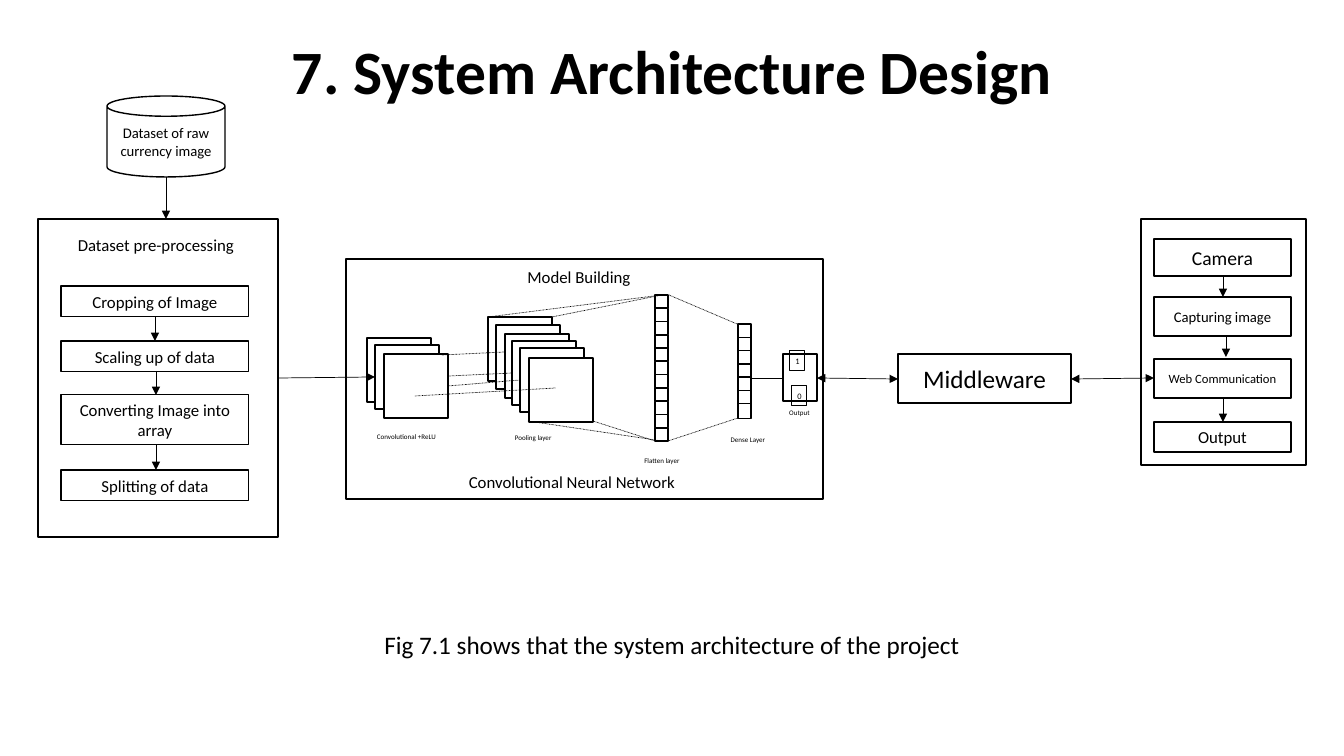
from lxml import etree
from pptx import Presentation
from pptx.dml.color import RGBColor
from pptx.enum.dml import MSO_LINE
from pptx.enum.shapes import MSO_CONNECTOR, MSO_SHAPE
from pptx.enum.text import MSO_ANCHOR, PP_ALIGN
from pptx.oxml.ns import qn
from pptx.util import Emu, Pt

BLACK = RGBColor(0, 0, 0)
WHITE = RGBColor(255, 255, 255)
RECT, CAN = MSO_SHAPE.RECTANGLE, MSO_SHAPE.CAN
LEFT, CENTER = PP_ALIGN.LEFT, PP_ALIGN.CENTER
MIDDLE, BOTTOM = MSO_ANCHOR.MIDDLE, MSO_ANCHOR.BOTTOM
STRAIGHT = MSO_CONNECTOR.STRAIGHT
DOTTED = MSO_LINE.ROUND_DOT
SCALE = 914400 / 100.8

deck = Presentation()
deck.slide_width, deck.slide_height = Emu(12192000), Emu(6858000)
page = deck.slides.add_slide(deck.slide_layouts[6])


def add_box(area, text="", size=12, weight=1, kind=RECT, align=CENTER):
    place = [Emu(round(value * SCALE)) for value in area]
    if weight:
        box = page.shapes.add_shape(kind, *place)
        box.shadow.inherit = False
        box.fill.solid()
        box.fill.fore_color.rgb = WHITE
        box.line.color.rgb = BLACK
        box.line.width = Pt(weight)
    else:
        box = page.shapes.add_textbox(*place)
    if text:
        frame = box.text_frame
        frame.word_wrap = True
        frame.vertical_anchor = MIDDLE
        para = frame.paragraphs[0]
        para.text = text
        para.alignment = align
        para.font.name = "Calibri"
        para.font.size = Pt(size)
        para.font.color.rgb = BLACK
    return box


def add_line(ends, dash=None, heads=()):
    line = page.shapes.add_connector(STRAIGHT, *[Emu(round(value * SCALE)) for value in ends])
    line.line.color.rgb = BLACK
    line.line.width = Pt(0.5)
    if dash:
        line.line.dash_style = dash
    outline = line.line._get_or_add_ln()
    for head in heads:
        etree.SubElement(outline, qn(head), type="triangle")
    etree.SubElement(line._element.spPr, qn("a:effectLst"))


title = add_box((100, 32, 1145, 81), "7. System Architecture Design", 44, weight=0)
title.text_frame.vertical_anchor = BOTTOM
title.text_frame.paragraphs[0].font.bold = True
title.text_frame.paragraphs[0].line_spacing = 0.9

caption = add_box((336, 611, 672, 51),
                  "Fig 7.1 shows that the system architecture of the project", 18, weight=0)
caption.text_frame.paragraphs[0].line_spacing = 1.5
caption.text_frame.paragraphs[0].space_after = Pt(8)

add_box((107, 96, 118, 81), "Dataset of raw currency image", 10.5, kind=CAN)

add_box((38, 219, 240, 318))
add_box((62, 230, 188, 30), "Dataset pre-processing", weight=0)
for top, height, step in [
    (286, 31, "Cropping of Image"),
    (341, 31, "Scaling up of data"),
    (395, 50, "Converting Image into array"),
    (470, 31, "Splitting of data"),
]:
    add_box((61, top, 188, height), step, weight=0.75)

add_box((346, 259, 477, 240))
for left, top in [(367, 338), (375, 345), (384, 354),
                  (488, 317), (496, 325), (505, 334), (512, 341), (520, 348), (529, 358)]:
    add_box((left, top, 64, 64))
for cells, left, first, height in [(11, 655, 295, 13), (7, 738, 324, 15)]:
    for index in range(cells):
        add_box((left, first + index * 13.3, 13, height))

for ends in [
    (415, 396, 556, 388), (448, 386, 520, 380), (449, 376, 512, 373), (442, 355, 505, 352),
    (528, 421, 662, 441), (593, 421, 655, 441), (488, 317, 662, 295), (552, 317, 662, 295),
    (668, 441, 738, 418), (669, 295, 737, 324),
]:
    add_line(ends, DOTTED)
add_line((750, 378, 790, 378))

add_box((783, 354, 34, 47))
for left, top, value in [(790, 351, "1"), (792, 386, "0")]:
    digit = add_box((left, top, 15, 20), value, 6, weight=0.75)
    digit.fill.background()
    digit.text_frame.margin_left = digit.text_frame.margin_right = 0

for left, top, width, align, label in [
    (367, 427, 82, LEFT, "Convolutional +ReLU"),
    (505, 428, 82, LEFT, "Pooling layer"),
    (621, 451, 82, CENTER, "Flatten layer"),
    (707, 430, 82, CENTER, "Dense Layer"),
    (772, 403, 55, CENTER, "Output"),
]:
    add_box((left, top, width, 19), label, 5, weight=0, align=align)
add_box((423, 262, 312, 30), "Model Building", weight=0)
add_box((445, 467, 254, 30), "Convolutional Neural Network", weight=0)

add_box((898, 354, 173, 49), "Middleware", 18)

add_box((1141, 219, 165, 246))
for top, height, size, stage in [
    (239, 37, 14, "Camera"),
    (297, 39, 10.5, "Capturing image"),
    (359, 39, 9, "Web Communication"),
    (422, 30, 12, "Output"),
]:
    add_box((1154, top, 137, height), stage, size)

for ends in [
    (166, 177, 166, 219), (155, 317, 155, 341), (156, 371, 156, 395), (156, 445, 156, 470),
    (278, 378, 375, 377), (1223, 276, 1223, 297), (1226, 337, 1226, 357), (1223, 398, 1223, 422),
]:
    add_line(ends, heads=["a:tailEnd"])
for ends in [(817, 378, 898, 379), (1071, 379, 1154, 378)]:
    add_line(ends, heads=["a:headEnd", "a:tailEnd"])

deck.save("out.pptx")
